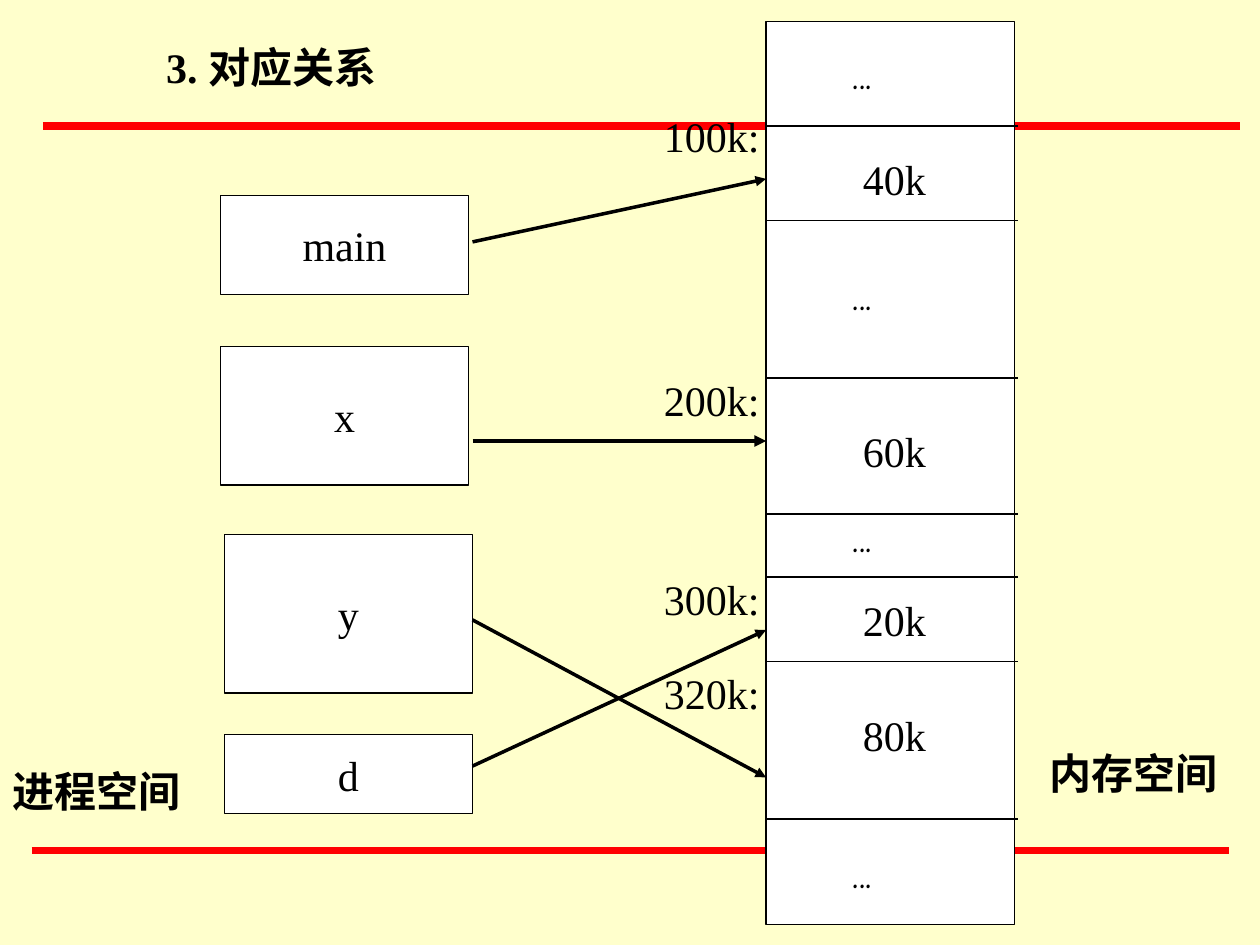
import lxml.etree
import pptx
import pptx.dml.color
import pptx.enum.shapes
import pptx.enum.text
import pptx.oxml.ns
import pptx.util

Inches = pptx.util.Inches
COLORS = {"paper": "FFFFCC", "rule": "FF0000", "ink": "000000", "cell": "FFFFFF"}
SERIF = "Times New Roman"
COMIC = "Comic Neue"
MEMORY_LEFT = 6.08
PROCESS_RIGHT = 3.75


def color(name):
    return pptx.dml.color.RGBColor.from_string(COLORS[name])


class Painter:
    def __init__(self, page, size=24):
        self.page = page
        self.size = size
        page.background.fill.solid()
        page.background.fill.fore_color.rgb = color("paper")

    def add_span(self, para, text, font=SERIF, bold=False):
        span = para.add_run()
        span.text = text
        span.font.name = font
        span.font.size = pptx.util.Pt(self.size)
        span.font.bold = bold
        span.font.color.rgb = color("ink")

    def line(self, start, end, width=0.75, tint="ink", arrow=False):
        line = self.page.shapes.add_connector(
            pptx.enum.shapes.MSO_CONNECTOR.STRAIGHT,
            *(Inches(value) for value in (*start, *end)))
        line.line.color.rgb = color(tint)
        line.line.width = pptx.util.Pt(width)
        qn = pptx.oxml.ns.qn
        properties = line._element.spPr
        if arrow:
            lxml.etree.SubElement(properties.find(qn("a:ln")), qn("a:tailEnd"), type="triangle")
        lxml.etree.SubElement(properties, qn("a:effectLst"))

    def block(self, left, top, width, height, text=None):
        box = self.page.shapes.add_shape(
            pptx.enum.shapes.MSO_SHAPE.RECTANGLE,
            *(Inches(value) for value in (left, top, width, height)))
        box.shadow.inherit = False
        box.fill.solid()
        box.fill.fore_color.rgb = color("cell")
        box.line.color.rgb = color("ink")
        box.line.width = pptx.util.Pt(0.75)
        if text:
            frame = box.text_frame
            frame.word_wrap = False
            frame.vertical_anchor = pptx.enum.text.MSO_ANCHOR.MIDDLE
            para = frame.paragraphs[0]
            para.alignment = pptx.enum.text.PP_ALIGN.CENTER
            self.add_span(para, text)

    def label(self, left, top, width, text, font=SERIF, bold=False, filled=False):
        box = self.page.shapes.add_textbox(
            *(Inches(value) for value in (left, top, width, 0.5)))
        if filled:
            box.fill.solid()
            box.fill.fore_color.rgb = color("cell")
        box.text_frame.word_wrap = True
        box.text_frame.auto_size = pptx.enum.text.MSO_AUTO_SIZE.SHAPE_TO_FIT_TEXT
        self.add_span(box.text_frame.paragraphs[0], text, font, bold)


def main():
    deck = pptx.Presentation()
    deck.slide_width, deck.slide_height = Inches(10), Inches(7.5)
    painter = Painter(deck.slides.add_slide(deck.slide_layouts[6]))

    for left, y in ((0.25, 6.75), (0.34, 1)):
        painter.line((left, y), (left + 9.5, y), 4.5, "rule")

    painter.block(MEMORY_LEFT, 0.17, 1.97, 7.17)
    for left, top, height, name in (
        (1.75, 1.55, 0.79, "main"),
        (1.75, 2.75, 1.1, "x"),
        (1.78, 4.24, 1.26, "y"),
        (1.78, 5.83, 0.63, "d"),
    ):
        painter.block(left, top, 1.97, height, name)

    painter.label(1.22, 0.28, 4.33, "3. 对应关系", bold=True)

    for y in (1, 1.75, 3, 4.08, 4.58, 5.25, 6.5):
        painter.line((MEMORY_LEFT, y), (MEMORY_LEFT + 2, y))

    for top, amount in ((1.17, "40k"), (3.33, "60k"), (5.58, "80k"), (4.67, "20k")):
        painter.label(6.75, top, 1.08, amount, filled=amount == "40k")
    for top in (6.67, 2.08, 0.33, 4):
        painter.label(6.67, top, 0.83, "...", COMIC)

    for left, top, text in ((0, 6.03, "进程空间"), (8.23, 5.88, "内存空间")):
        painter.label(left, top, 1.58, text, bold=True)
    for top, address in ((0.83, "100k:"), (2.92, "200k:"), (4.5, "300k:"), (5.25, "320k:")):
        painter.label(5.17, top, 1.08, address)

    for start, end, width in ((1.92, 1.42, 2), (3.5, 3.5, 2.25), (6.08, 5, 2), (4.92, 6.17, 2)):
        painter.line((PROCESS_RIGHT, start), (MEMORY_LEFT, end), width, arrow=True)

    deck.save("out.pptx")


if __name__ == "__main__":
    main()
